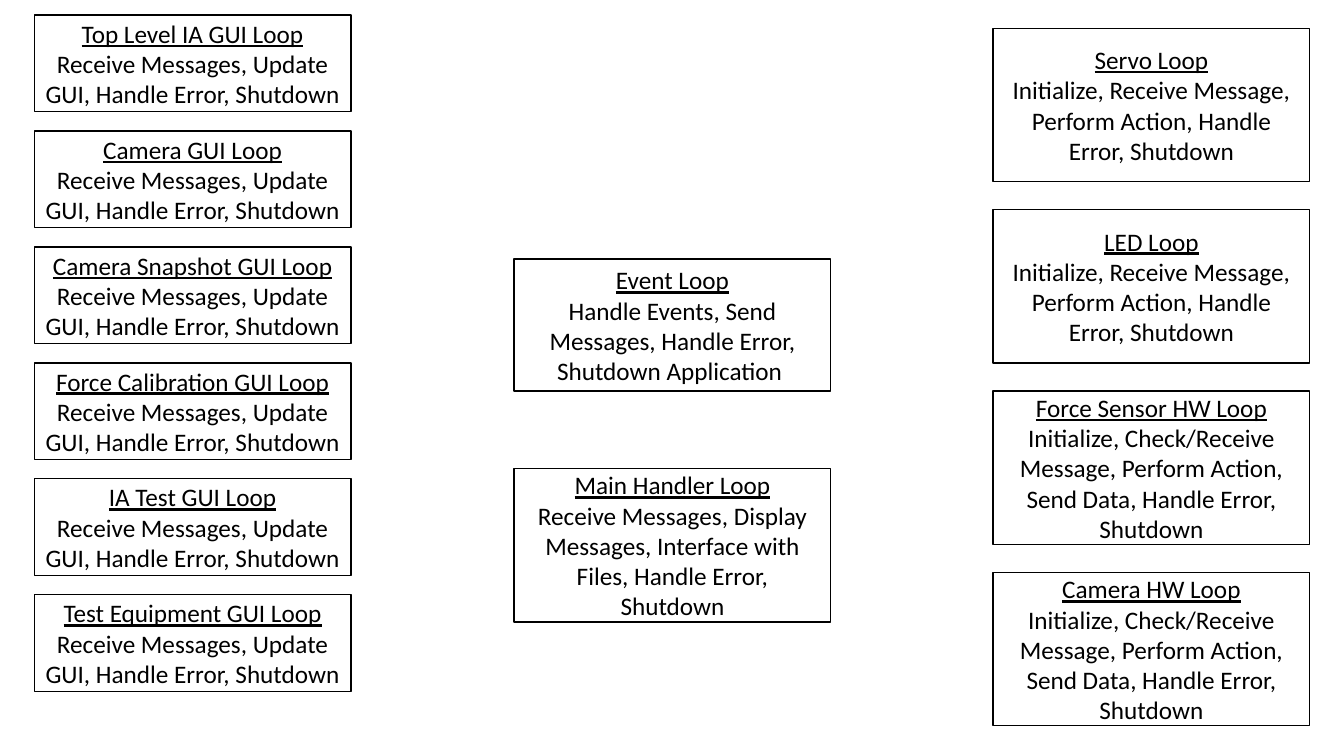
from pptx import Presentation
from pptx.dml.color import RGBColor
from pptx.enum.shapes import MSO_SHAPE
from pptx.enum.text import MSO_ANCHOR, PP_ALIGN
from pptx.util import Inches, Pt

BLACK = "000000"
WHITE = "FFFFFF"
LOOP_WIDTH = 3.14
GUI_DUTIES = "Receive Messages, Update GUI, Handle Error, Shutdown"
ACTUATOR_DUTIES = "Initialize, Receive Message, Perform Action, Handle Error, Shutdown"
HARDWARE_DUTIES = (
    "Initialize, Check/Receive Message, Perform Action, "
    "Send Data, Handle Error, Shutdown"
)
EVENT_DUTIES = "Handle Events, Send Messages, Handle Error, Shutdown Application "
HANDLER_DUTIES = (
    "Receive Messages, Display Messages, Interface with Files, "
    "Handle Error, Shutdown"
)

GUI_LOOPS = [
    (name, GUI_DUTIES)
    for name in (
        "Top Level IA GUI Loop",
        "Camera GUI Loop",
        "Camera Snapshot GUI Loop",
        "Force Calibration GUI Loop",
        "IA Test GUI Loop",
        "Test Equipment GUI Loop",
    )
]
DEVICE_LOOPS = [
    ("Servo Loop", ACTUATOR_DUTIES),
    ("LED Loop", ACTUATOR_DUTIES),
    ("Force Sensor HW Loop", HARDWARE_DUTIES),
    ("Camera HW Loop", HARDWARE_DUTIES),
]


def color(hex_code):
    return RGBColor.from_string(hex_code)


def add_loop(slide, left, top, height, name, duties):
    loop = slide.shapes.add_shape(
        MSO_SHAPE.RECTANGLE,
        Inches(left), Inches(top), Inches(LOOP_WIDTH), Inches(height),
    )
    loop.shadow.inherit = False
    loop.fill.solid()
    loop.fill.fore_color.rgb = color(WHITE)
    loop.line.color.rgb = color(BLACK)
    loop.line.width = Pt(1)
    frame = loop.text_frame
    frame.word_wrap = True
    frame.vertical_anchor = MSO_ANCHOR.MIDDLE
    frame.text = f"{name}\n{duties}"
    for paragraph in frame.paragraphs:
        paragraph.alignment = PP_ALIGN.CENTER
        font = paragraph.runs[0].font
        font.name = "Calibri"
        font.size = Pt(18)
        font.color.rgb = color(BLACK)
    frame.paragraphs[0].runs[0].font.underline = True


def add_loop_column(slide, left, top, height, pitch, loops):
    for row, (name, duties) in enumerate(loops):
        add_loop(slide, left, top + row * pitch, height, name, duties)


def main():
    deck = Presentation()
    deck.slide_width = Inches(13.33)
    deck.slide_height = Inches(7.5)
    slide = deck.slides.add_slide(deck.slide_layouts[6])
    add_loop_column(slide, 0.34, 0.15, 0.96, 1.15, GUI_LOOPS)
    add_loop(slide, 5.1, 2.57, 1.31, "Event Loop", EVENT_DUTIES)
    add_loop(slide, 5.1, 4.65, 1.52, "Main Handler Loop", HANDLER_DUTIES)
    add_loop_column(slide, 9.85, 0.28, 1.52, 1.8, DEVICE_LOOPS)
    deck.save("out.pptx")


main()
